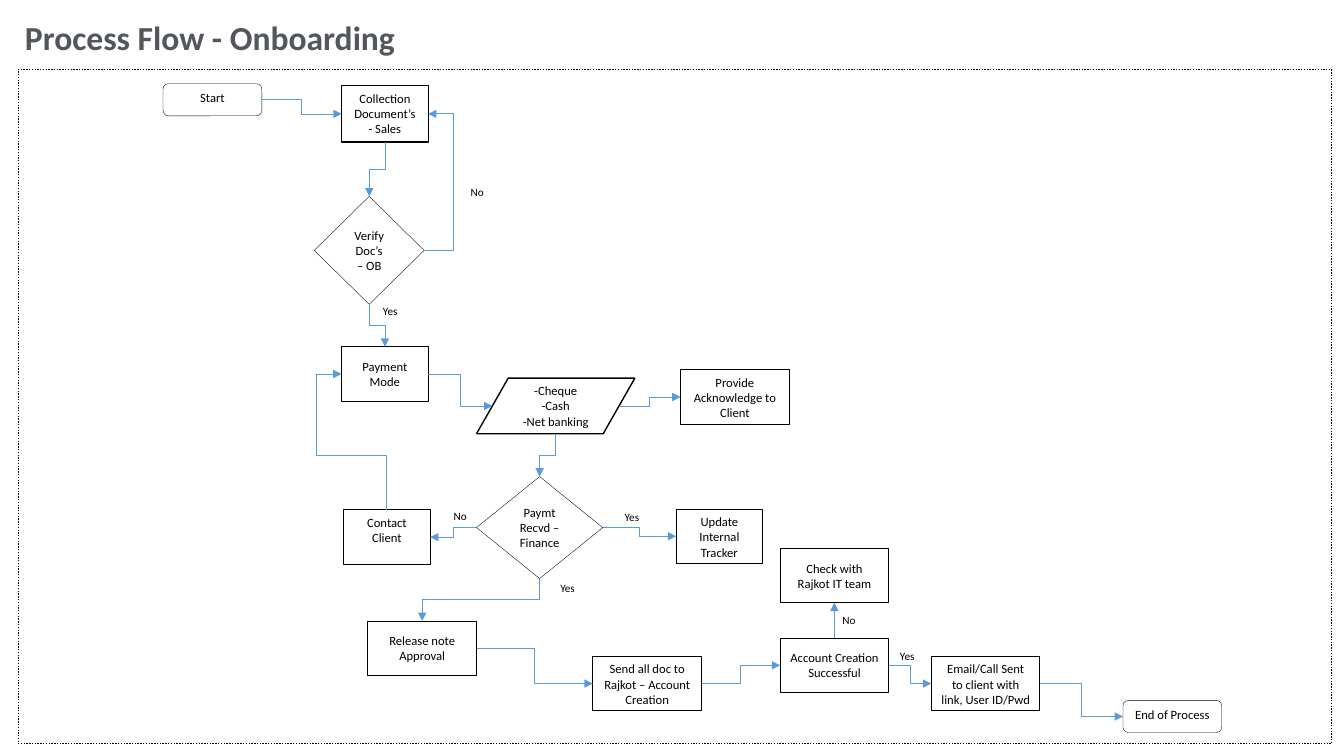
from lxml import etree
from pptx import Presentation
from pptx import util as u
from pptx.dml.color import RGBColor
from pptx.enum import dml, shapes, text
from pptx.oxml.ns import qn

HUES = {"white": "FFFFFF", "ink": "000000", "title": "53575C", "link": "5B9BD5"}
FORM = shapes.MSO_SHAPE
TOP, MID = text.MSO_ANCHOR.TOP, text.MSO_ANCHOR.MIDDLE
SIDES = {"top": (0.5, 0, 0), "left": (0, 0.5, 1), "bottom": (0.5, 1, 2), "right": (1, 0.5, 3)}
SLANT = {"left": (0.1, 0.5, 2), "bottom": (0.5, 1, 4), "right": (0.9, 0.5, 5)}

KINDS = {
    "pill": (FORM.ROUNDED_RECTANGLE, 0.25),
    "box": (FORM.RECTANGLE, 0.75),
    "choice": (FORM.FLOWCHART_DECISION, 0.25),
    "input": (FORM.FLOWCHART_DATA, 1),
}
PILL, SMALL, WIDE = (2.49, 0.81), (2.18, 1.37), (2.74, 1.37)

STEPS = {
    "start": ("pill", 3.65, 0.36, PILL, TOP, "Start"),
    "collect": ("box", 8.15, 0.41, (2.18, 1.42), TOP, "Collection Document’s - Sales"),
    "verify": ("choice", 7.46, 3.2, (2.77, 2.72), MID, "Verify Doc’s – OB"),
    "pay": ("box", 8.15, 6.99, SMALL, MID, "Payment Mode"),
    "mode": ("input", 11.55, 7.78, (3.99, 1.4), MID, "-Cheque\n-Cash\n-Net banking"),
    "thank": ("box", 16.69, 7.57, WIDE, TOP, "Provide Acknowledge to Client"),
    "paid": ("choice", 11.55, 10.26, (3.18, 2.57), MID, "Paymt Recvd – Finance"),
    "update": ("box", 16.58, 11.08, SMALL, TOP, "Update Internal Tracker"),
    "contact": ("box", 8.2, 11.1, SMALL, TOP, "Contact Client"),
    "release": ("box", 8.81, 13.9, WIDE, MID, "Release note Approval"),
    "send": ("box", 14.48, 14.79, WIDE, TOP, "Send all doc to Rajkot – Account Creation"),
    "account": ("box", 19.2, 14.33, WIDE, MID, "Account Creation\nSuccessful"),
    "check": ("box", 19.2, 12.07, WIDE, MID, "Check with Rajkot IT team"),
    "email": ("box", 23.01, 14.79, WIDE, TOP, "Email/Call Sent to client with link, User ID/Pwd"),
    "end": ("pill", 27.84, 15.9, PILL, TOP, "End of Process"),
}
LINKS = [
    ("start", "right", "collect", "left", []),
    ("collect", "bottom", "verify", "top", []),
    ("verify", "right", "collect", "right", [10.97]),
    ("verify", "bottom", "pay", "top", []),
    ("pay", "right", "mode", "left", []),
    ("mode", "right", "thank", "left", []),
    ("mode", "bottom", "paid", "top", []),
    ("paid", "right", "update", "left", []),
    ("paid", "left", "contact", "right", []),
    ("paid", "bottom", "release", "top", []),
    ("contact", "top", "pay", "left", [9.73, 7.52]),
    ("release", "right", "send", "left", []),
    ("send", "right", "account", "left", []),
    ("account", "top", "check", "bottom", []),
    ("account", "right", "email", "left", []),
    ("email", "right", "end", "left", []),
]
LABELS = [
    ("No", 11.15, 2.8), ("Yes", 8.94, 5.79), ("No", 10.72, 10.95), ("Yes", 15.03, 10.98),
    ("Yes", 13.41, 12.78), ("Yes", 21.97, 14.48), ("No", 20.52, 13.59),
]


def hue(name):
    """Return a named colour."""
    return RGBColor.from_string(HUES[name])


def apply(item, values):
    """Set each attribute in the dict."""
    for key, value in values.items():
        setattr(item, key, value)


def write(frame, words, size, tint="ink", bold=False, align=None, **look):
    """Fill a text frame in one style."""
    frame.text = words
    apply(frame, look)
    for para in frame.paragraphs:
        para.alignment = align
        apply(para.font, {"name": "Calibri", "size": u.Pt(size), "bold": bold})
        para.font.color.rgb = hue(tint)


def outline(slide, form, box, width):
    """Add a white shape with a black line."""
    shape = slide.shapes.add_shape(form, *map(u.Cm, box))
    shape.shadow.inherit = False
    shape.fill.solid()
    shape.fill.fore_color.rgb = hue("white")
    shape.line.color.rgb = hue("ink")
    shape.line.width = u.Pt(width)
    return shape


def label(slide, box, words, size, **look):
    """Add a line of text that does not wrap."""
    area = slide.shapes.add_textbox(*map(u.Cm, box))
    write(area.text_frame, words, size, word_wrap=False, **look)


def site(name, side):
    """Return a step's joining point and its site number."""
    kind, x, y, (w, h), *rest = STEPS[name]
    across, down, spot = (SLANT if kind == "input" else SIDES)[side]
    return x + w * across, y + h * down, spot


def link(slide, box, nodes, head, side, tail, port, bends):
    """Join two steps with an elbow arrow."""
    (x1, y1, first), (x2, y2, last) = site(head, side), site(tail, port)
    dx, dy = x2 - x1, y2 - y1
    upright = side in ("top", "bottom")
    run, rise = (dy, -dx) if upright else (dx, dy)
    mx, my = box[0] + (x1 + x2) / 2, box[1] + (y1 + y2) / 2
    line = slide.shapes.add_connector(shapes.MSO_CONNECTOR.ELBOW, 0, 0, 0, 0)
    line.begin_connect(nodes[head], first % 4)
    line.end_connect(nodes[tail], last % 4)
    for tag, spot in (("stCxn", first), ("endCxn", last)):
        next(line._element.iter(qn("a:" + tag))).set("idx", str(spot))
    apply(line, {"begin_x": u.Cm(mx - run / 2), "begin_y": u.Cm(my - rise / 2),
                 "end_x": u.Cm(mx + run / 2), "end_y": u.Cm(my + rise / 2)})
    line.line.color.rgb = hue("link")
    line.line.width = u.Pt(0.5)
    props = line._element.spPr
    if upright:
        props.find(qn("a:xfrm")).set("rot", "5400000")
    geom = props.find(qn("a:prstGeom"))
    geom.set("prst", "bentConnector4" if len(bends) == 2 else "bentConnector3")
    spans = [(y1, dy), (x1, dx)] if upright else [(x1, dx), (y1, dy)]
    for i, (bend, (base, span)) in enumerate(zip(bends, spans), 1):
        tag = "adj" + str(i)
        ratio = round((bend - base) / span * 100000)
        etree.SubElement(geom.find(qn("a:avLst")), qn("a:gd"), name=tag, fmla=f"val {ratio}")
    etree.SubElement(props.find(qn("a:ln")), qn("a:tailEnd"), type="triangle")
    etree.SubElement(props, qn("a:effectLst"))


def flow(slide, box):
    """Draw the framed flow chart inside its box."""
    left, top = box[:2]
    border = outline(slide, FORM.RECTANGLE, box, 1)
    border.line.dash_style = dml.MSO_LINE.ROUND_DOT
    nodes = {}
    for name, (kind, x, y, size, anchor, words) in STEPS.items():
        form, width = KINDS[kind]
        nodes[name] = outline(slide, form, (left + x, top + y, *size), width)
        write(nodes[name].text_frame, words, 9, align=text.PP_ALIGN.CENTER,
              word_wrap=True, vertical_anchor=anchor)
    for join in LINKS:
        link(slide, box, nodes, *join)
    for words, x, y in LABELS:
        label(slide, (left + x, top + y, 0.9, 0.6), words, 8)


def main():
    """Build and save the slide."""
    deck = Presentation()
    apply(deck, {"slide_width": u.Cm(33.87), "slide_height": u.Cm(19.05)})
    slide = deck.slides.add_slide(deck.slide_layouts[6])
    flow(slide, (0.46, 1.75, 33.1, 16.99))
    label(slide, (0.38, 0.3, 9.93, 1.27), "Process Flow - Onboarding", 24, tint="title", bold=True)
    deck.save("out.pptx")


main()
